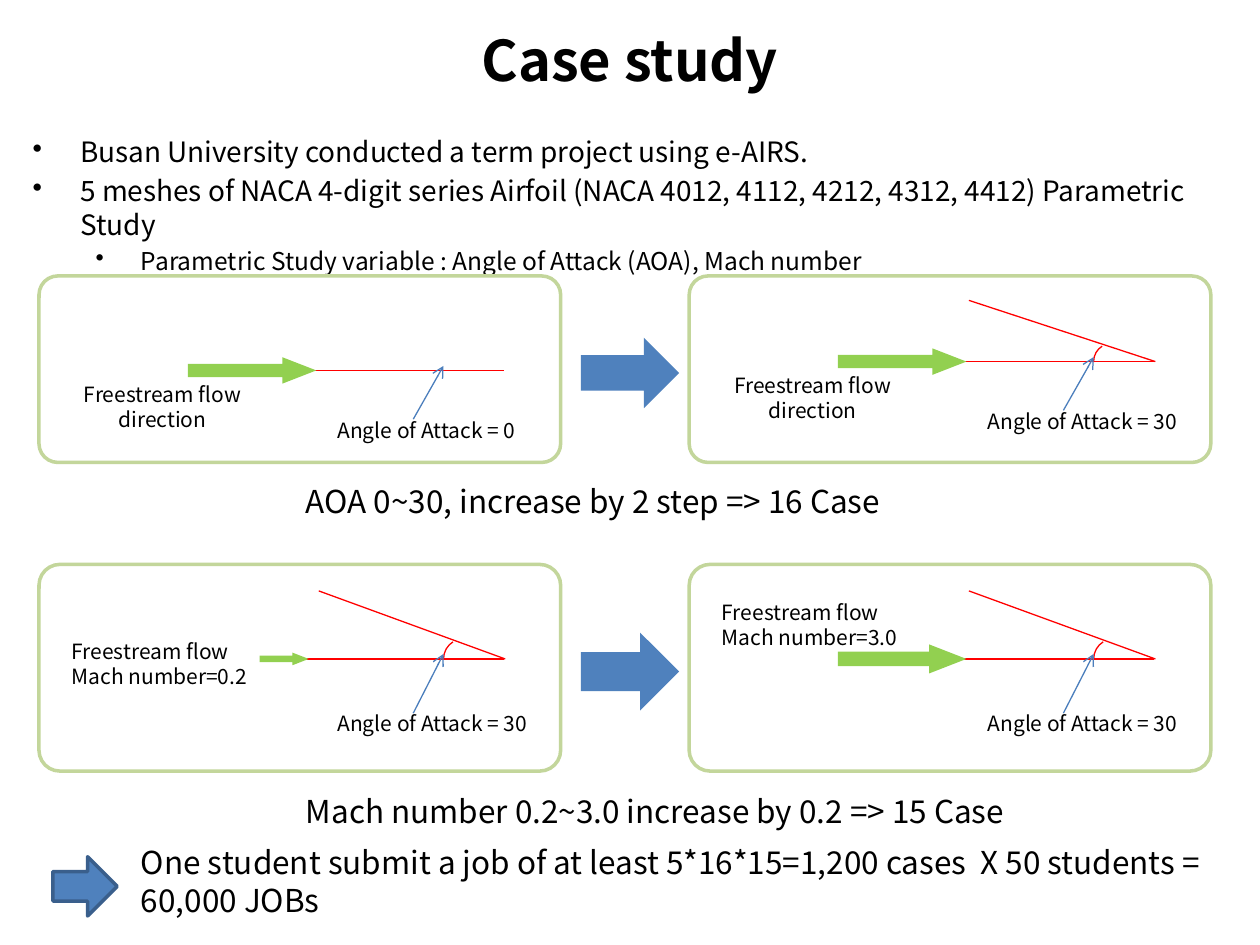
from pptx import Presentation
from pptx.dml.color import RGBColor
from pptx.enum import shapes, text
from pptx.oxml.ns import qn
from pptx.util import Inches, Pt
from lxml import etree

FONT = "Noto Sans CJK KR"
COLORS = {
    "text": "000000", "panel": "FFFFFF", "border": "C3D69B", "wing": "FF0000",
    "pointer": "4B7EBC", "flow": "92D050", "step": "4F81BD", "step_line": "3A5F8C",
}
LEFT_PANEL, RIGHT_PANEL = 0.31, 5.47
ARC_ANGLES = (178, 238)


def color(name):
    return RGBColor.from_string(COLORS[name])


def add_text(slide, box, lines, size, align=text.PP_ALIGN.LEFT, wrap=False,
             anchor=text.MSO_ANCHOR.TOP, bold=False):
    """Add a text box with one paragraph per line and return its paragraphs."""
    shape = slide.shapes.add_textbox(*map(Inches, box))
    frame = shape.text_frame
    frame.word_wrap = wrap
    frame.vertical_anchor = anchor
    frame.text = "\n".join(lines)
    for paragraph in frame.paragraphs:
        paragraph.alignment = align
        style_paragraph(paragraph, size, bold)
    return frame.paragraphs


def style_paragraph(paragraph, size, bold=False):
    paragraph.line_spacing = Pt(size * 1.2)
    paragraph.font.name = FONT
    paragraph.font.size = Pt(size)
    paragraph.font.bold = bold
    paragraph.font.color.rgb = color("text")


def add_bullet(paragraph, margin, hanging):
    properties = paragraph._p.get_or_add_pPr()
    properties.set("marL", str(Inches(margin)))
    properties.set("indent", str(-Inches(hanging)))
    bullet = etree.Element(qn("a:buChar"), char="•")
    spacing = properties.findall(qn("a:lnSpc")) + properties.findall(qn("a:spcBef"))
    properties.insert(len(spacing), bullet)


def add_shape(slide, kind, box, fill=None, line=None, width=2, adjustments=()):
    shape = slide.shapes.add_shape(kind, *map(Inches, box))
    shape.shadow.inherit = False
    for index, value in enumerate(adjustments):
        shape.adjustments[index] = value
    if fill:
        shape.fill.solid()
        shape.fill.fore_color.rgb = color(fill)
    else:
        shape.fill.background()
    if line:
        shape.line.color.rgb = color(line)
        shape.line.width = Pt(width)
    else:
        shape.line.fill.background()
    return shape


def add_line(slide, start, end, name, arrow=False):
    line = slide.shapes.add_connector(
        shapes.MSO_CONNECTOR.STRAIGHT, *map(Inches, (*start, *end)))
    line.line.color.rgb = color(name)
    line.line.width = Pt(0.75)
    if arrow:
        etree.SubElement(line.line._get_or_add_ln(), qn("a:tailEnd"), type="arrow")
    etree.SubElement(line._element.spPr, qn("a:effectLst"))


def add_block_arrow(slide, box, fill="step", line=None, head=0.5):
    add_shape(slide, shapes.MSO_SHAPE.RIGHT_ARROW, box, fill, line,
              adjustments=(0.5, head))


def add_airfoil_panel(slide, left, top, height, chord, scale, angle, flow, label,
                      label_box, align=text.PP_ALIGN.LEFT):
    """Draw one case; chord is the height of the flow line, scale its vertical scale."""
    add_shape(slide, shapes.MSO_SHAPE.ROUNDED_RECTANGLE, (left, top, 4.14, height),
              "panel", "border", adjustments=(0.101,))
    add_line(slide, (left + 2.11, chord), (left + 3.69, chord), "wing")
    if angle:
        add_line(slide, (left + 2.22, chord - 0.54 * scale), (left + 3.7, chord), "wing")
        radius = 0.16 * scale
        # Arc angles are stored in 1/60000 degree, adjustments in units of 100000.
        add_shape(slide, shapes.MSO_SHAPE.ARC,
                  (left + 3.21, chord - radius, 2 * radius, 2 * radius),
                  line="wing", width=0.75, adjustments=[a * 0.6 for a in ARC_ANGLES])
    add_text(slide, (left + 2.27, chord + 0.36 * scale, 1.81 if angle else 1.72, 0.3),
             [f"Angle of Attack = {angle}"], 12)
    add_line(slide, (left + 2.97, chord + 0.43 * scale),
             (left + 3.21, chord - 0.04 * scale), "pointer", arrow=True)
    offset, length, thickness = flow
    add_block_arrow(slide, (left + offset, chord - thickness / 2, length, thickness),
                    "flow", head=1.284)
    add_text(slide, label_box, label, 12, align)


def add_body(slide):
    first, second, third = add_text(slide, (0.16, 1.02, 9.69, 1.3), [
        "Busan University conducted a term project using e-AIRS.",
        "5 meshes of NACA 4-digit series Airfoil (NACA 4012, 4112, 4212, 4312, 4412) "
        "Parametric Study",
        "Parametric Study variable : Angle of Attack (AOA), Mach number",
    ], 16, wrap=True)
    style_paragraph(third, 14)
    third.level = 1
    second.space_before, third.space_before = Pt(3.2), Pt(2.8)
    for paragraph, margin, hanging in ((first, 0.38, 0.38), (second, 0.38, 0.38),
                                       (third, 0.86, 0.36)):
        add_bullet(paragraph, margin, hanging)


def add_angle_row(slide):
    for left, chord, angle in ((LEFT_PANEL, 2.94, 0), (RIGHT_PANEL, 2.87, 30)):
        add_airfoil_panel(slide, left, 2.19, 1.48, chord, 0.9, angle, (1.18, 1.02, 0.21),
                          ["Freestream flow", "direction"],
                          (left + 0.24, chord + 0.04, 1.48, 0.46), text.PP_ALIGN.CENTER)
    add_block_arrow(slide, (4.61, 2.68, 0.78, 0.56))
    add_text(slide, (2.33, 3.78, 5.07, 0.4),
             ["AOA 0~30, increase by 2 step => 16 Case"], 18)


def add_mach_row(slide):
    cases = ((LEFT_PANEL, "0.2", (1.75, 0.39, 0.1), 5.02),
             (RIGHT_PANEL, "3.0", (1.18, 1.02, 0.23), 4.71))
    for left, mach, flow, label_top in cases:
        add_airfoil_panel(slide, left, 4.48, 1.64, 5.23, 1, 30, flow,
                          ["Freestream flow", f"Mach number={mach}"],
                          (left + 0.16, label_top, 1.61, 0.51))
    add_block_arrow(slide, (4.61, 5.02, 0.78, 0.62))
    add_text(slide, (2.33, 6.24, 5.97, 0.4),
             ["Mach number 0.2~3.0 increase by 0.2 => 15 Case"], 18)


def main():
    presentation = Presentation()
    presentation.slide_width, presentation.slide_height = Inches(10), Inches(7.5)
    slide = presentation.slides.add_slide(presentation.slide_layouts[6])
    add_text(slide, (0, 0, 10, 0.94), ["Case study"], 32, text.PP_ALIGN.CENTER,
             wrap=True, anchor=text.MSO_ANCHOR.MIDDLE, bold=True)
    add_body(slide)
    add_angle_row(slide)
    add_mach_row(slide)
    add_block_arrow(slide, (0.42, 6.8, 0.51, 0.47), line="step_line")
    add_text(slide, (1.02, 6.64, 8.95, 0.71),
             ["One student submit a job of at least 5*16*15=1,200 cases  X 50 students = "
              "60,000 JOBs"], 18, wrap=True)
    presentation.save("out.pptx")


if __name__ == "__main__":
    main()
